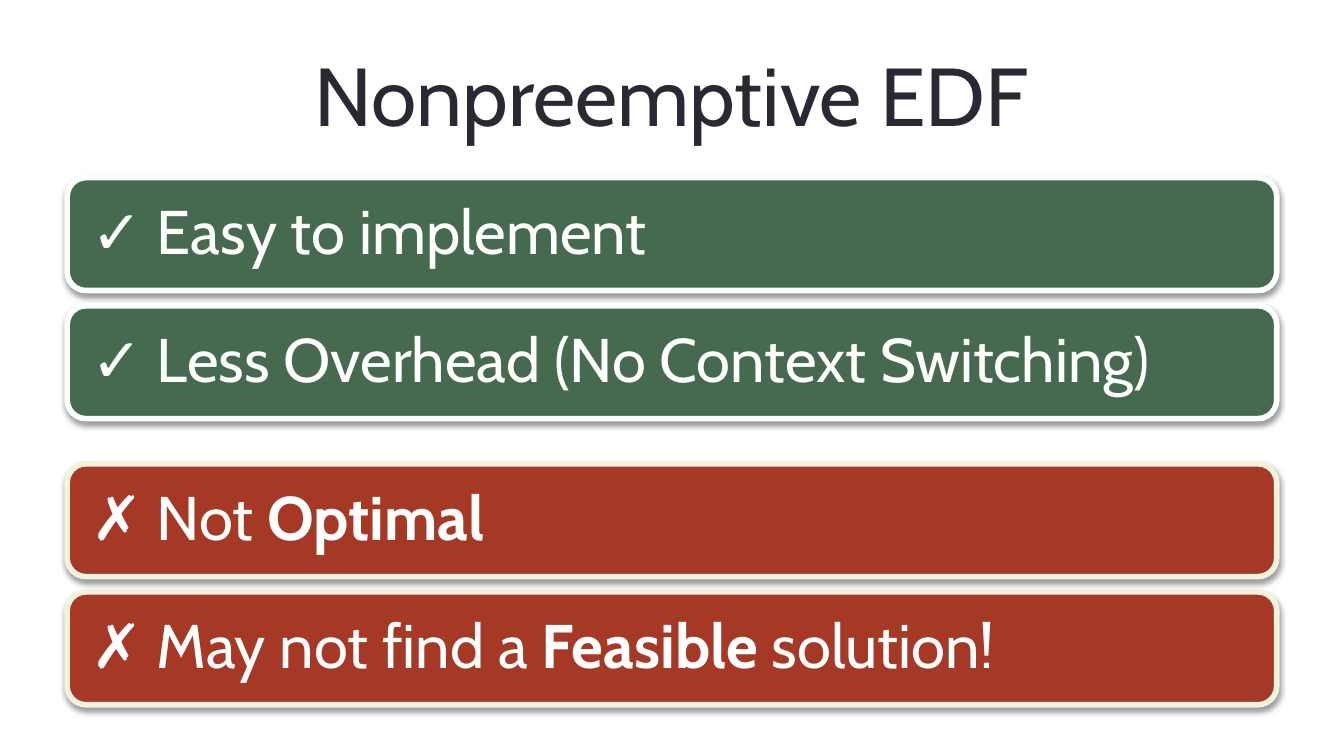
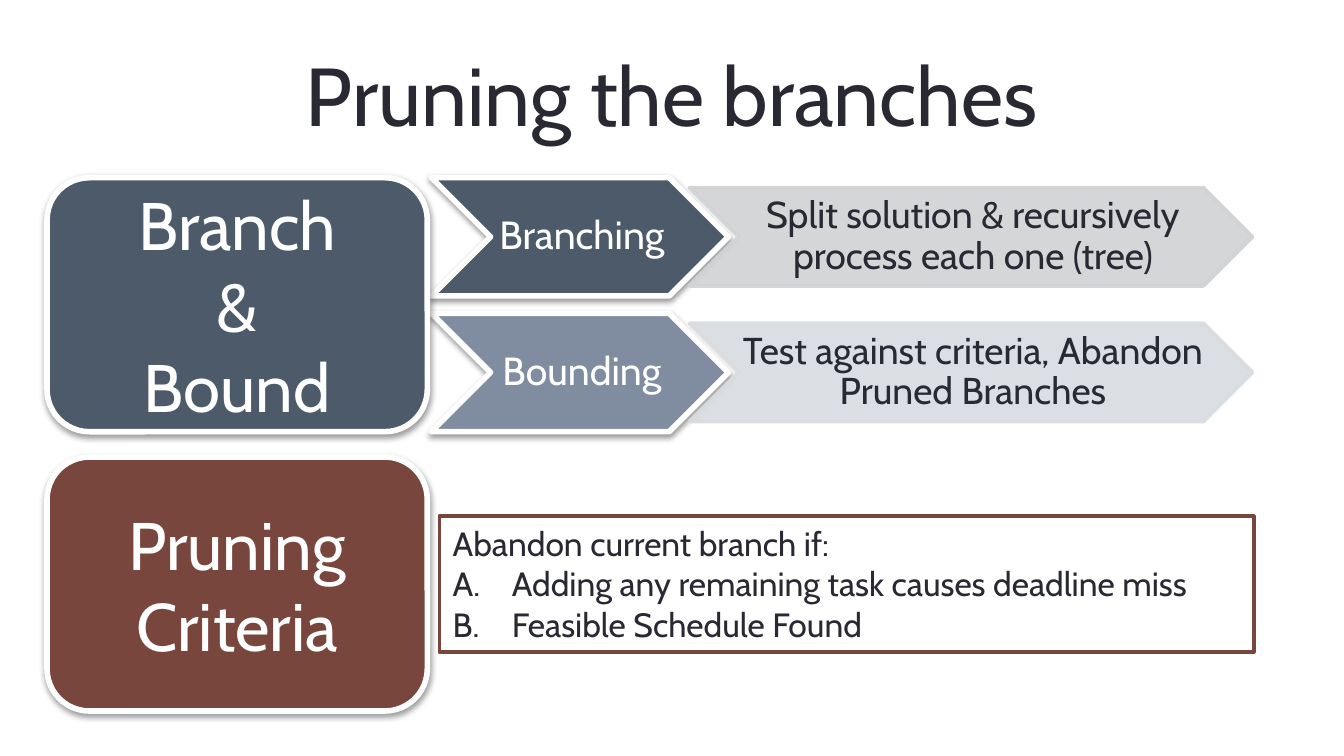
from lxml.etree import SubElement
from pptx import Presentation
from pptx.dml.color import RGBColor
from pptx.enum.shapes import MSO_SHAPE as Shape
from pptx.enum.text import MSO_ANCHOR as Anchor, PP_ALIGN as Align
from pptx.oxml.ns import qn
from pptx.util import Inches, Pt

FONT = "Cabin"
INK, WHITE, CREAM = "292934", "FFFFFF", "F3F2DC"
GREEN, RED = "466A4F", "A53926"
SLATE, STEEL, BROWN = "4C5A6A", "808DA0", "79463D"
PALE_SLATE, PALE_STEEL = "D0D2D4", "D8DBDF"

presentation = Presentation()
presentation.slide_width = Inches(10)
presentation.slide_height = Inches(5.625)
# The grid has 100 columns and 100 rows.
COLUMN = presentation.slide_width / 100
ROW = presentation.slide_height / 100


def color(hex_value):
    """Turn a hex string into a colour."""
    return RGBColor.from_string(hex_value)


def add_block(slide, kind, box, lines, size, ink=WHITE, fill=None, line=WHITE,
              line_width=3, align=Align.CENTER, spacing=1.0, insets=None,
              shadow=True, opacity=None):
    """Add text in a shape, or in a text box if kind is None; *stars* mark bold."""
    left, top, width, height = box
    place = [int(value) for value in
             (left * COLUMN, top * ROW, width * COLUMN, height * ROW)]
    if kind is None:
        shape = slide.shapes.add_textbox(*place)
    else:
        shape = slide.shapes.add_shape(kind, *place)
        shape.shadow.inherit = False
        shape.fill.solid()
        shape.fill.fore_color.rgb = color(fill)
        shape.line.color.rgb = color(line)
        shape.line.width = Pt(line_width)
        properties = shape.element.spPr
        if opacity:
            for tone in properties.iter(qn("a:srgbClr")):
                SubElement(tone, qn("a:alpha"), val=str(opacity * 1000))
        if shadow:
            outer = SubElement(properties.find(qn("a:effectLst")), qn("a:outerShdw"),
                               blurRad="40000", dist="20000", dir="5400000",
                               rotWithShape="0")
            tone = SubElement(outer, qn("a:srgbClr"), val="000000")
            SubElement(tone, qn("a:alpha"), val="38000")

    frame = shape.text_frame
    frame.word_wrap = True
    frame.vertical_anchor = Anchor.MIDDLE
    if insets:
        (frame.margin_left, frame.margin_top,
         frame.margin_right, frame.margin_bottom) = [Inches(inset) for inset in insets]
    frame.text = "\n".join(lines)
    for paragraph, text in zip(frame.paragraphs, lines):
        paragraph.alignment = align
        paragraph.line_spacing = spacing
        parts = text.split("*")
        paragraph.text = parts[0]
        for part in parts[1:]:
            paragraph.add_run().text = part
        for index, run in enumerate(paragraph.runs):
            run.font.name = FONT
            run.font.size = Pt(size)
            run.font.bold = index % 2 == 1
            run.font.color.rgb = color(ink)
    return shape


slides = []
for title in ("Nonpreemptive EDF", "Pruning the branches"):
    slide = presentation.slides.add_slide(presentation.slide_layouts[6])
    add_block(slide, None, (5, 4.1, 90, 16.7), [title], 44, INK)
    slides.append(slide)
verdict_slide, pruning_slide = slides

# Advantages and drawbacks
BAR_HEIGHT, BAR_PITCH = 14.93, 16.95
verdicts = [
    (23.5, GREEN, WHITE, ["✓ Easy to implement",
                          "✓ Less Overhead (No Context Switching)"]),
    (61.35, RED, CREAM, ["✗ Not *Optimal*",
                         "✗ May not find a *Feasible* solution!"]),
]
for top, fill, border, points in verdicts:
    for index, point in enumerate(points):
        add_block(verdict_slide, Shape.ROUNDED_RECTANGLE,
                  (5, top + index * BAR_PITCH, 90, BAR_HEIGHT), [point], 33,
                  fill=fill, line=border, align=Align.LEFT, spacing=0.9,
                  insets=[0.14] * 4)

# Branch and bound steps
STEP_TOP, STEP_HEIGHT, STEP_PITCH, DETAIL_HEIGHT = 23.5, 15.65, 17.95, 13
CHEVRON_INSETS = (0.03, 0.01, 0, 0.01)
steps = [
    ("Branching", SLATE, "Split solution & recursively process each one (tree)", PALE_SLATE),
    ("Bounding", STEEL, "Test against criteria, Abandon Pruned Branches", PALE_STEEL),
]
for index, (step, fill, detail, pale) in enumerate(steps):
    top = STEP_TOP + index * STEP_PITCH
    add_block(pruning_slide, Shape.CHEVRON, (32.1, top, 22.1, STEP_HEIGHT), [step], 21,
              fill=fill, spacing=0.9, insets=CHEVRON_INSETS)
    add_block(pruning_slide, Shape.CHEVRON,
              (51.3, top + (STEP_HEIGHT - DETAIL_HEIGHT) / 2, 41.9, DETAIL_HEIGHT),
              [detail], 20, INK, pale, pale, 2, spacing=0.9, insets=CHEVRON_INSETS,
              shadow=False, opacity=90)

# Pruning criteria
criteria = add_block(pruning_slide, Shape.RECTANGLE, (32.7, 68.3, 60.6, 17.95),
                     ["Abandon current branch if:",
                      "Adding any remaining task causes deadline miss",
                      "Feasible Schedule Found"],
                     18, INK, WHITE, BROWN, 2, Align.LEFT, shadow=False)
criteria.text_frame.vertical_anchor = Anchor.TOP
for paragraph in criteria.text_frame.paragraphs[1:]:
    properties = paragraph._p.get_or_add_pPr()
    properties.set("marL", str(Inches(0.44)))
    properties.set("indent", str(-Inches(0.44)))
    SubElement(properties, qn("a:buFont"), typeface="+mj-lt")
    SubElement(properties, qn("a:buAutoNum"), type="alphaUcPeriod")

# Headings on the left
headings = [
    (23.5, SLATE, ["Branch", "&", "Bound"]),
    (60.45, BROWN, ["Pruning", "Criteria"]),
]
for top, fill, lines in headings:
    add_block(pruning_slide, Shape.ROUNDED_RECTANGLE, (3.5, top, 28.3, 33.6), lines, 36,
              fill=fill)

presentation.save("out.pptx")
